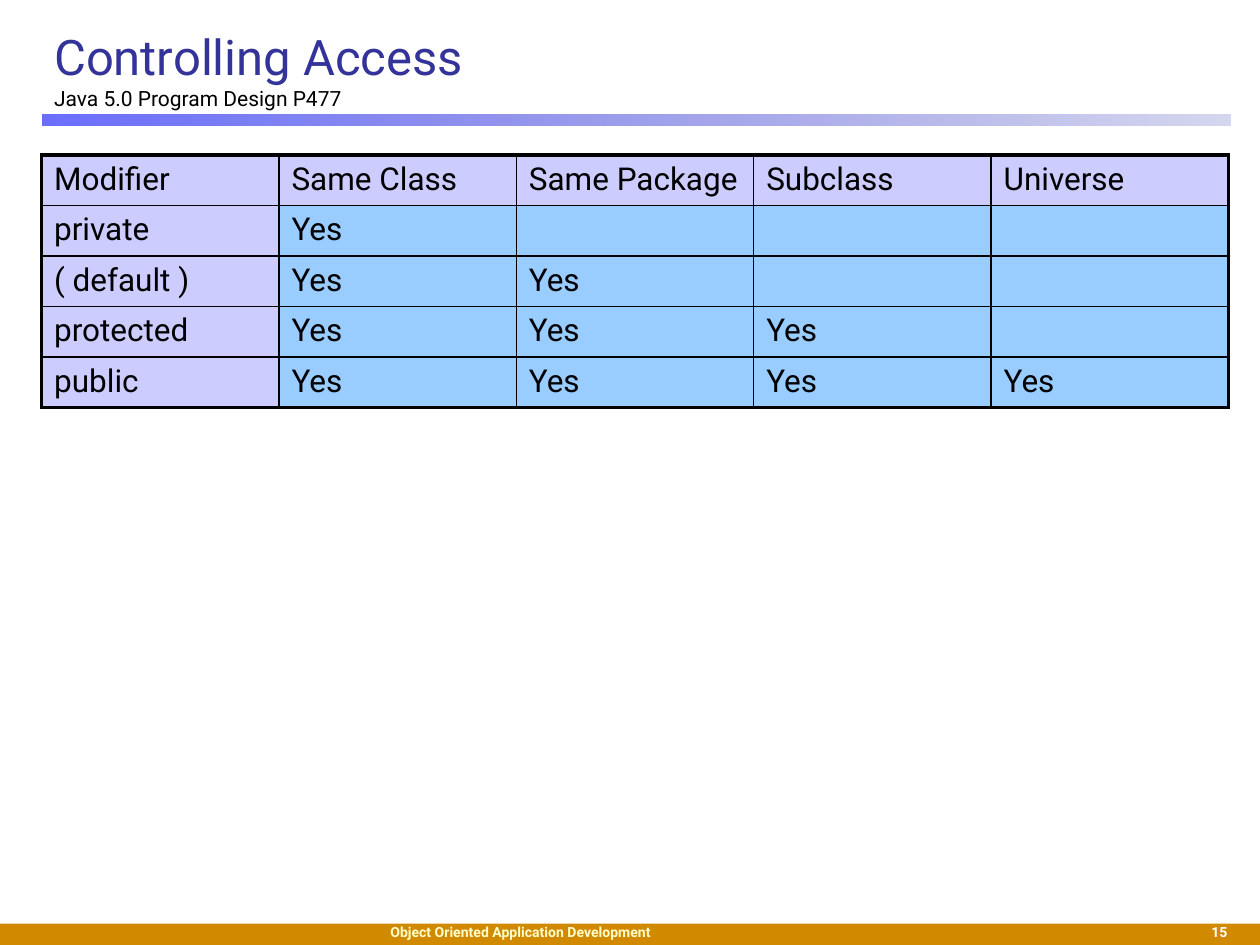
"""Builds the Controlling Access slide with its table of Java access modifiers."""
from dataclasses import dataclass
from lxml.etree import SubElement
from pptx import Presentation
from pptx.dml.color import RGBColor
from pptx.enum.shapes import MSO_SHAPE as Shape
from pptx.enum.text import MSO_ANCHOR as Anchor, MSO_AUTO_SIZE as AutoSize, PP_ALIGN as Align
from pptx.oxml.ns import qn
from pptx.util import Inches, Pt

TITLE = "Controlling Access"
SOURCE = "Java 5.0 Program Design P477"
FOOTER = "Object Oriented Application Development"
PAGE_NUMBER = "15"
ACCESS = [
    ("Modifier", "Same Class", "Same Package", "Subclass", "Universe"),
    ("private", "Yes", "", "", ""),
    ("( default )", "Yes", "Yes", "", ""),
    ("protected", "Yes", "Yes", "Yes", ""),
    ("public", "Yes", "Yes", "Yes", "Yes"),
]


@dataclass(frozen=True)
class Theme:
    font: str = "Roboto"
    title: str = "333399"
    text: str = "000000"
    header_fill: str = "CCCCFF"
    body_fill: str = "99CCFF"
    footer_fill: str = "D18A00"
    footer_text: str = "FFFFCC"
    page_text: str = "FFFFFF"
    rule_stops: tuple = (("464AFC", 80), ("3235B4", 20))
    title_size: float = 28
    source_size: float = 12
    table_size: float = 18
    footer_size: float = 8
    outer_border: float = 2.25
    inner_border: float = 1


THEME = Theme()


def format_runs(paragraph, size, color, bold=False):
    for run in paragraph.runs:
        run.font.name = THEME.font
        run.font.size = Pt(size)
        run.font.bold = bold
        run.font.color.rgb = RGBColor.from_string(color)


def add_bar(slide, left, top, width, height):
    bar = slide.shapes.add_shape(
        Shape.RECTANGLE, Inches(left), Inches(top), Inches(width), Inches(height))
    bar.shadow.inherit = False
    bar.line.fill.background()
    return bar


def add_bars(slide):
    footer_bar = add_bar(slide, 0, 7.33, 10, 0.17)
    footer_bar.fill.solid()
    footer_bar.fill.fore_color.rgb = RGBColor.from_string(THEME.footer_fill)
    rule = add_bar(slide, 0.34, 0.91, 9.43, 0.09)
    rule.fill.gradient()
    rule.fill.gradient_angle = 0
    for stop, (color, opacity) in zip(rule.fill.gradient_stops, THEME.rule_stops):
        stop.color.rgb = RGBColor.from_string(color)
    color_elements = rule._element.spPr.find(qn("a:gradFill")).iter(qn("a:srgbClr"))
    for element, (color, opacity) in zip(color_elements, THEME.rule_stops):
        SubElement(element, qn("a:alpha"), val=str(opacity * 1000))


def add_footer_text(slide, text, left, width, color, alignment):
    box = slide.shapes.add_textbox(Inches(left), Inches(7.28), Inches(width), Inches(0.17))
    box.text_frame.word_wrap = True
    box.text_frame.text = text
    paragraph = box.text_frame.paragraphs[0]
    paragraph.alignment = alignment
    format_runs(paragraph, THEME.footer_size, color, bold=True)


def fill_title(slide):
    title = slide.shapes.title
    title.left, title.top = Inches(0.33), Inches(0.17)
    title.width, title.height = Inches(9.42), Inches(0.75)
    frame = title.text_frame
    frame.auto_size = AutoSize.NONE
    frame.vertical_anchor = Anchor.MIDDLE
    frame.text = f"{TITLE}\n{SOURCE}"
    styles = [(THEME.title_size, THEME.title), (THEME.source_size, THEME.text)]
    for paragraph, (size, color) in zip(frame.paragraphs, styles):
        paragraph.alignment = Align.LEFT
        format_runs(paragraph, size, color)


def set_borders(cell, outer_sides):
    properties = cell._tc.get_or_add_tcPr()
    for side in ("L", "R", "T", "B"):
        points = THEME.outer_border if side in outer_sides else THEME.inner_border
        line = SubElement(properties, qn(f"a:ln{side}"), w=str(Pt(points)))
        SubElement(SubElement(line, qn("a:solidFill")), qn("a:srgbClr"), val=THEME.text)


def add_access_table(slide):
    row_count, column_count = len(ACCESS), len(ACCESS[0])
    table = slide.shapes.add_table(
        row_count, column_count, Inches(0.33), Inches(1.23),
        Inches(9.42), Inches(0.39 * row_count)).table
    for row_index, row in enumerate(ACCESS):
        for column_index, text in enumerate(row):
            cell = table.cell(row_index, column_index)
            edges = {
                "L": column_index == 0, "R": column_index == column_count - 1,
                "T": row_index == 0, "B": row_index == row_count - 1,
            }
            set_borders(cell, [side for side, is_outer in edges.items() if is_outer])
            is_header = row_index == 0 or column_index == 0
            cell.fill.solid()
            cell.fill.fore_color.rgb = RGBColor.from_string(
                THEME.header_fill if is_header else THEME.body_fill)
            if text:
                cell.text_frame.text = text
                format_runs(cell.text_frame.paragraphs[0], THEME.table_size, THEME.text)


def main():
    presentation = Presentation()
    presentation.slide_width, presentation.slide_height = Inches(10), Inches(7.5)
    slide = presentation.slides.add_slide(presentation.slide_layouts[5])
    add_bars(slide)
    add_footer_text(slide, PAGE_NUMBER, 8.42, 1.42, THEME.page_text, Align.RIGHT)
    add_footer_text(slide, FOOTER, 3, 4, THEME.footer_text, Align.LEFT)
    fill_title(slide)
    add_access_table(slide)
    presentation.save("out.pptx")


if __name__ == "__main__":
    main()
